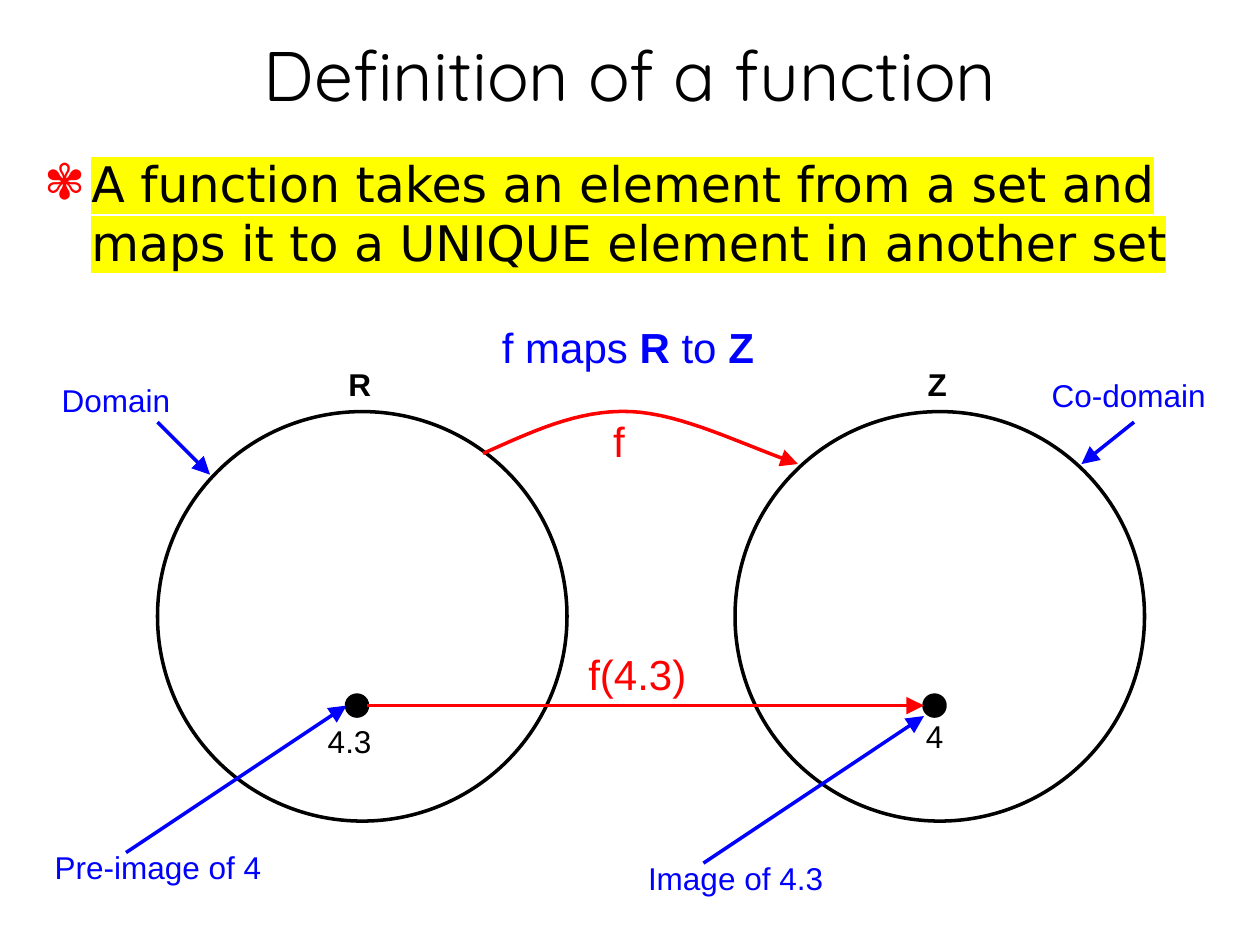
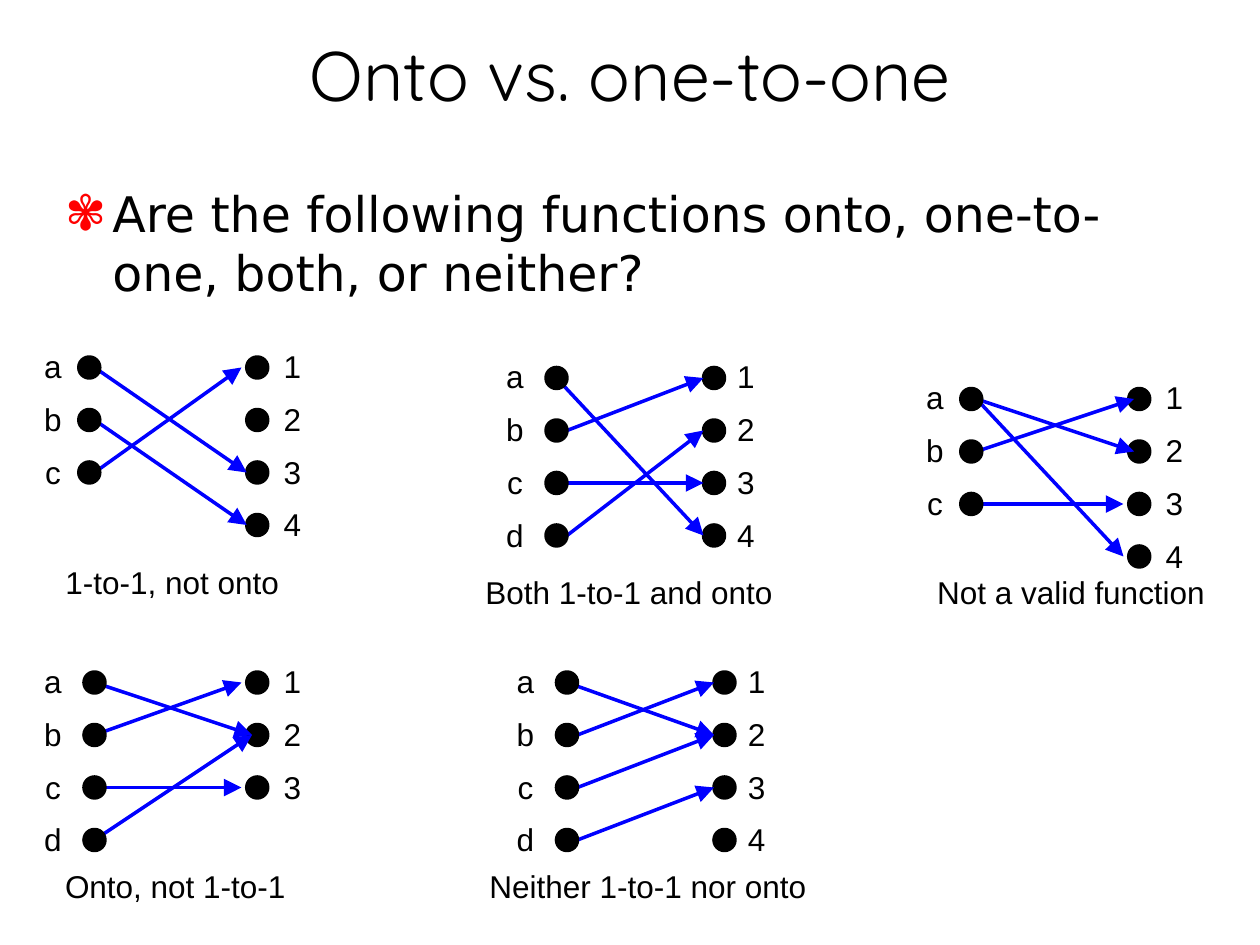
import dataclasses

import pptx
import pptx.dml.color
import pptx.enum.shapes
import pptx.enum.text
import pptx.oxml
import pptx.oxml.ns
import pptx.util

EMU_PER_PX = 7620  # 120 px to the inch
DOT = 20
ROW_PITCH = 50
BODY_INDENT = 45
OVAL = pptx.enum.shapes.MSO_SHAPE.OVAL
STRAIGHT = pptx.enum.shapes.MSO_CONNECTOR.STRAIGHT
CENTER = pptx.enum.text.PP_ALIGN.CENTER
LEFT = pptx.enum.text.PP_ALIGN.LEFT
MIDDLE = pptx.enum.text.MSO_ANCHOR.MIDDLE
TOP = pptx.enum.text.MSO_ANCHOR.TOP
FIXED_SIZE = pptx.enum.text.MSO_AUTO_SIZE.NONE
GROW_TO_TEXT = pptx.enum.text.MSO_AUTO_SIZE.SHAPE_TO_FIT_TEXT


@dataclasses.dataclass(frozen=True)
class Theme:
    ink: str = "000000"
    note: str = "0000FF"
    mapping: str = "FF0000"
    marker: str = "FFFF00"
    title_font: str = "Quicksand"
    body_font: str = "DejaVu Sans"
    label_font: str = "Arial"
    title_size: int = 40
    body_size: int = 28
    formula_size: int = 24
    label_size: int = 18
    line_width: int = 2


THEME = Theme()


def px(length):
    return pptx.util.Emu(round(length * EMU_PER_PX))


def place(box):
    return [px(length) for length in box]


def rgb(value):
    return pptx.dml.color.RGBColor.from_string(value)


def drawing_xml(tag, inner="", **attributes):
    listed = "".join(f' {key}="{value}"' for key, value in attributes.items())
    namespace = pptx.oxml.ns.nsdecls("a")
    return pptx.oxml.parse_xml(f"<a:{tag} {namespace}{listed}>{inner}</a:{tag}>")


def write_text(frame, content, *, size=THEME.label_size, color=THEME.ink,
               font=THEME.label_font, align=CENTER, line_spacing=None,
               highlight=None):
    """Fill a frame, one paragraph a line; parts between ** are bold."""
    for row, line in enumerate(content.split("\n")):
        paragraph = frame.add_paragraph() if row else frame.paragraphs[0]
        paragraph.alignment = align
        paragraph.space_before = pptx.util.Pt(0)
        if line_spacing:
            paragraph.line_spacing = line_spacing
        for index, part in enumerate(line.split("**")):
            if not part:
                continue
            run = paragraph.add_run()
            run.text = part
            run.font.size = pptx.util.Pt(size)
            run.font.bold = index % 2 == 1
            run.font.color.rgb = rgb(color)
            run.font.name = font
            if highlight:
                latin = run.font._element.find(pptx.oxml.ns.qn("a:latin"))
                latin.addprevious(
                    drawing_xml("highlight", f'<a:srgbClr val="{highlight}"/>'))


def add_label(shapes, box, content, **text_format):
    frame = shapes.add_textbox(*place(box)).text_frame
    frame.word_wrap = False
    frame.auto_size = GROW_TO_TEXT
    write_text(frame, content, **text_format)


def style_line(line, color, arrow=False):
    line.color.rgb = rgb(color)
    line.width = pptx.util.Pt(THEME.line_width)
    if arrow:
        line._get_or_add_ln().append(
            drawing_xml("tailEnd", type="triangle", w="lg", len="lg"))


def add_arrow(shapes, start, end, color=THEME.note):
    arrow = shapes.add_connector(STRAIGHT, *place(start + end))
    style_line(arrow.line, color, arrow=True)
    arrow._element.spPr.append(drawing_xml("effectLst"))


def add_circle(shapes, left, top, diameter, fill=None):
    circle = shapes.add_shape(OVAL, *place((left, top, diameter, diameter)))
    circle.shadow.inherit = False
    if fill:
        circle.fill.solid()
        circle.fill.fore_color.rgb = rgb(fill)
    else:
        circle.fill.background()
    style_line(circle.line, THEME.ink)


def add_dots(shapes, left, first_row, count):
    for row in range(count):
        top = first_row + row * ROW_PITCH - DOT / 2
        add_circle(shapes, left, top, DOT, THEME.ink)


def bezier(start, control_1, control_2, end, steps=16):
    """Points on a cubic curve, without its start."""
    for step in range(1, steps + 1):
        t = step / steps
        weights = ((1 - t) ** 3, 3 * t * (1 - t) ** 2, 3 * t * t * (1 - t), t ** 3)
        corners = (start, control_1, control_2, end)
        yield tuple(sum(weight * corner[axis] for weight, corner in zip(weights, corners))
                    for axis in (0, 1))


def add_curved_arrow(shapes, *curves):
    points = [place(point) for curve in curves for point in bezier(*curve)]
    builder = shapes.build_freeform(*place(curves[0][0]))
    builder.add_line_segments(points, close=False)
    curve = builder.convert_to_shape()
    curve.shadow.inherit = False
    curve.fill.background()
    style_line(curve.line, THEME.mapping, arrow=True)


def start_slide(deck, title, statement, statement_box, highlight=None):
    """Add a slide with its title and one bulleted statement."""
    slide = deck.slides.add_slide(deck.slide_layouts[1])
    heading, body = slide.placeholders
    for holder, box, anchor in ((heading, (30, 20, 1140, 100), MIDDLE),
                                (body, statement_box, TOP)):
        holder.left, holder.top, holder.width, holder.height = place(box)
        holder.text_frame.vertical_anchor = anchor
        holder.text_frame.auto_size = FIXED_SIZE
    write_text(heading.text_frame, title, size=THEME.title_size, font=THEME.title_font)

    properties = body.text_frame.paragraphs[0]._p.get_or_add_pPr()
    properties.set("marL", str(px(BODY_INDENT)))
    properties.set("indent", str(-px(BODY_INDENT)))
    properties.append(drawing_xml("buClr", f'<a:srgbClr val="{THEME.mapping}"/>'))
    properties.append(drawing_xml("buFont", typeface=THEME.body_font))
    properties.append(drawing_xml("buChar", char="✾"))
    write_text(body.text_frame, statement, size=THEME.body_size,
               font=THEME.body_font, align=LEFT, highlight=highlight)
    return slide


def draw_set(shapes, left, top, name, element, element_box):
    """Draw a set as a circle with its name and one element."""
    add_circle(shapes, left, top, 390)
    add_label(shapes, (left + 170, top - 50, 45, 48), f"**{name}**")
    add_circle(shapes, left + 180, top + 270, DOT, THEME.ink)
    offset_x, offset_y, width = element_box
    add_label(shapes, (left + offset_x, top + offset_y, width, 48), element)


def build_definition(deck):
    slide = start_slide(
        deck, "Definition of a function",
        "A function takes an element from a set and maps it to a UNIQUE element "
        "in another set", (30, 140, 1140, 690), highlight=THEME.marker)
    shapes = slide.shapes
    draw_set(shapes, 150, 392, "R", "4.3", (150, 290, 66))
    draw_set(shapes, 700, 392, "Z", "4", (170, 285, 40))

    crest = (600, 392)
    add_curved_arrow(shapes,
                     ((460, 432), (505, 412), (550, 390), crest),
                     (crest, (650, 394), (708, 424), (760, 442)))
    add_arrow(shapes, (350, 672), (880, 672), THEME.mapping)
    for box, formula, color in (
            ((466, 300, 264, 60), "f maps **R** to **Z**", THEME.note),
            ((572, 390, 35, 60), "f", THEME.mapping),
            ((548, 612, 118, 60), "f(4.3)", THEME.mapping)):
        add_label(shapes, box, formula, size=THEME.formula_size, color=color)

    for box, term, start, end in (
            ((47, 357, 127, 48), "Domain", (150, 402), (200, 452)),
            ((985, 352, 180, 48), "Co-domain", (1080, 402), (1030, 442)),
            ((40, 802, 221, 48), "Pre-image of 4", (120, 812), (330, 672)),
            ((605, 812, 191, 48), "Image of 4.3", (670, 822), (880, 682))):
        add_arrow(shapes, start, end)
        add_label(shapes, box, term, color=THEME.note)


@dataclasses.dataclass(frozen=True)
class Mapping:
    """Left edge, centre of the first row, and offsets from these.

    Each arrow is (source, target, start, end): two names and two x offsets.
    """
    left: int
    first_row: int
    sources: str
    targets: str
    columns: tuple  # source dots, target dots, target names
    arrows: tuple
    caption: str
    caption_box: tuple  # left, top, width


MAPPINGS = (
    Mapping(30, 350, "abc", "1234", (45, 205, 228),
            (("b", "4", 60, 205), ("a", "3", 60, 205), ("c", "1", 60, 200)),
            "1-to-1, not onto", (20, 180, 228)),
    Mapping(30, 650, "abcd", "123", (50, 205, 228),
            (("b", "1", 60, 200), ("a", "2", 60, 210),
             ("c", "3", 60, 200), ("d", "2", 60, 210)),
            "Onto, not 1-to-1", (20, 170, 234)),
    Mapping(470, 360, "abcd", "1234", (50, 200, 220),
            (("c", "3", 70, 200), ("a", "4", 60, 200),
             ("d", "2", 70, 200), ("b", "1", 70, 200)),
            "Both 1-to-1 and onto", (-20, 180, 298)),
    Mapping(480, 650, "abcd", "1234", (50, 200, 220),
            (("c", "2", 70, 200), ("a", "2", 60, 200),
             ("d", "3", 70, 200), ("b", "1", 70, 200)),
            "Neither 1-to-1 nor onto", (-26, 170, 326)),
    Mapping(870, 380, "abc", "1234", (45, 205, 228),
            (("b", "1", 60, 210), ("a", "2", 60, 210),
             ("c", "3", 60, 200), ("a", "4", 60, 200)),
            "Not a valid function", (10, 160, 280)),
)


def draw_mapping(slide, mapping):
    left, first_row = mapping.left, mapping.first_row
    source_dots, target_dots, target_names = mapping.columns
    shapes = slide.shapes.add_group_shape().shapes
    for offset, names in ((0, mapping.sources), (target_names, mapping.targets)):
        box = (left + offset, first_row - 40, 41, 12 + ROW_PITCH * len(names))
        add_label(shapes, box, "\n".join(names), line_spacing=1.4)
    add_dots(shapes, left + target_dots, first_row, len(mapping.targets))
    for source, target, start, end in mapping.arrows:
        source_y = first_row + mapping.sources.index(source) * ROW_PITCH
        target_y = first_row + mapping.targets.index(target) * ROW_PITCH
        add_arrow(shapes, (left + start, source_y), (left + end, target_y))
    add_dots(shapes, left + source_dots, first_row, len(mapping.sources))

    offset_x, offset_y, width = mapping.caption_box
    add_label(slide.shapes, (left + offset_x, first_row + offset_y, width, 48),
              mapping.caption)


def build_comparison(deck):
    slide = start_slide(
        deck, "Onto vs. one-to-one",
        "Are the following functions onto, one-to-one, both, or neither?",
        (50, 169, 1100, 144))
    for mapping in MAPPINGS:
        draw_mapping(slide, mapping)


def main():
    deck = pptx.Presentation()
    deck.slide_width, deck.slide_height = px(1200), px(900)
    build_definition(deck)
    build_comparison(deck)
    deck.save("out.pptx")


if __name__ == "__main__":
    main()
